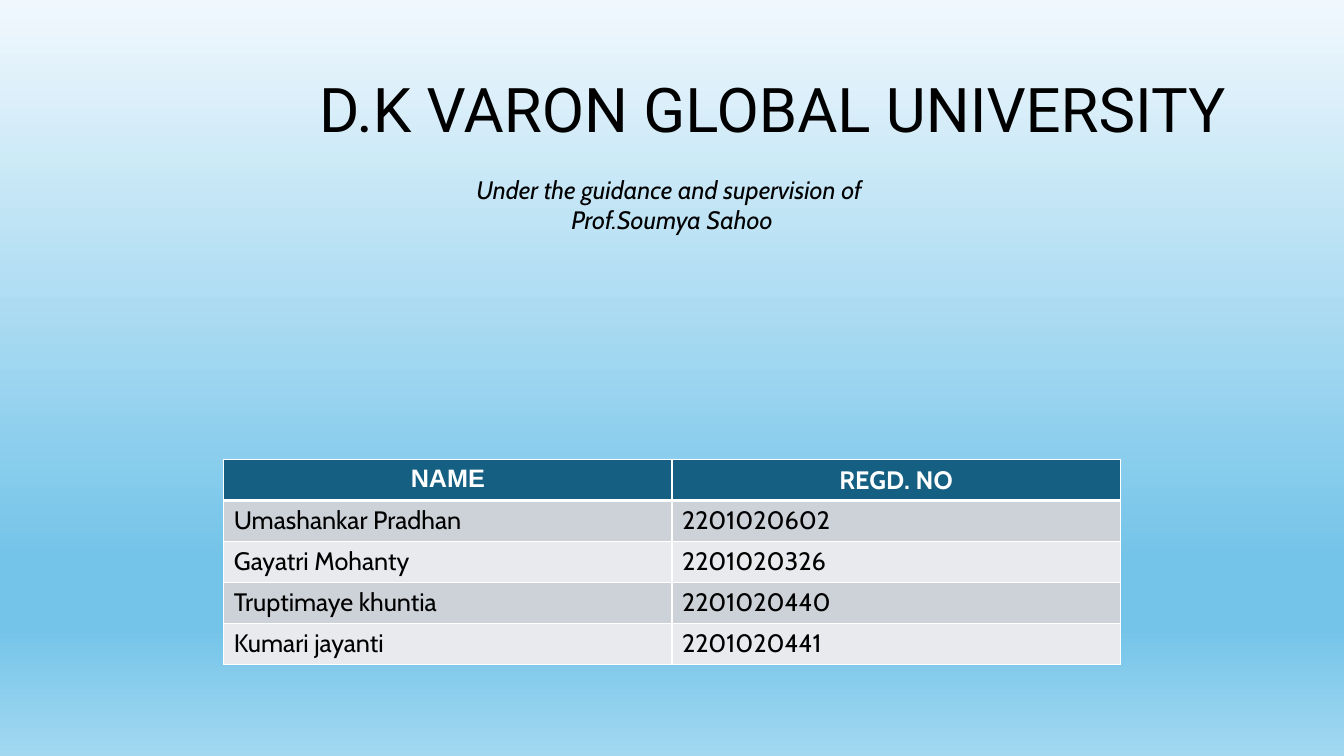
from lxml import etree
from pptx import Presentation
from pptx import util as u
from pptx.dml.color import RGBColor
from pptx.enum import text
from pptx.oxml import ns

COLORS = {
    "ink": "000000",
    "white": "FFFFFF",
    "header": "156082",
    "odd": "CCD2D8",
    "even": "E8EAED",
    "sky_pale": "F0F8FD",
    "sky_deep": "74C4E9",
    "sky_light": "A2D8F0",
}
SKY_STOPS = [(0, "sky_pale"), (74, "sky_deep"), (83, "sky_deep"), (100, "sky_light")]
STUDENTS = [
    ("Umashankar Pradhan", "2201020602"),
    ("Gayatri Mohanty", "2201020326"),
    ("Truptimaye khuntia", "2201020440"),
    ("Kumari jayanti", "2201020441"),
]


def write(para, words, font="Cabin", size=18, color="ink", bold=False, italic=False,
          align=text.PP_ALIGN.CENTER, spacing=None):
    """Write one formatted span into a paragraph."""
    para.alignment = align
    if spacing:
        para.line_spacing = spacing
    span = para.add_run()
    span.text = words
    span.font.name = font
    span.font.size = u.Pt(size)
    span.font.bold = bold
    span.font.italic = italic
    span.font.color.rgb = RGBColor.from_string(COLORS[color])


class CoverSlide:
    """Hold the colours and the current slide, and draw its elements."""

    def __init__(self, deck, colors):
        self.colors = colors
        self.page = deck.slides.add_slide(deck.slide_layouts[6])

    def background(self, stops):
        """Fill the page with a top-to-bottom gradient."""
        fill = self.page.background.fill
        fill.gradient()
        fill.gradient_angle = 270
        stop_list = next(self.page.element.iter(ns.qn("a:gsLst")))
        for stop in list(stop_list):
            stop_list.remove(stop)
        for percent, color in stops:
            stop = etree.SubElement(stop_list, ns.qn("a:gs"), pos=str(percent * 1000))
            etree.SubElement(stop, ns.qn("a:srgbClr"), val=self.colors[color])

    def textbox(self, left, top, width, height, lines, inset=0.1,
                anchor=text.MSO_ANCHOR.TOP, **style):
        """Add a text box with one paragraph per line."""
        box = self.page.shapes.add_textbox(
            u.Inches(left), u.Inches(top), u.Inches(width), u.Inches(height))
        frame = box.text_frame
        frame.word_wrap = True
        frame.margin_left = u.Inches(inset)
        frame.vertical_anchor = anchor
        for index, line in enumerate(lines):
            para = frame.add_paragraph() if index else frame.paragraphs[0]
            write(para, line, **style)

    def borders(self, cell, **widths):
        """Draw white borders of the given point widths around a cell."""
        properties = cell._tc.get_or_add_tcPr()
        for index, (side, width) in enumerate(widths.items()):
            line = etree.Element(ns.qn(f"a:ln{side}"), w=str(u.Pt(width)))
            solid = etree.SubElement(line, ns.qn("a:solidFill"))
            etree.SubElement(solid, ns.qn("a:srgbClr"), val=self.colors["white"])
            properties.insert(index, line)

    def cell(self, cell, words, fill, top=1, bottom=1, **style):
        """Fill, border and label one table cell."""
        cell.fill.solid()
        cell.fill.fore_color.rgb = RGBColor.from_string(self.colors[fill])
        self.borders(cell, L=1, R=1, T=top, B=bottom)
        write(cell.text_frame.paragraphs[0], words, **style)

    def table(self, left, top, width, height, headings, rows):
        """Add a table with a heading row and banded body rows."""
        table = self.page.shapes.add_table(
            len(rows) + 1, len(headings), u.Inches(left), u.Inches(top),
            u.Inches(width), u.Inches(height)).table
        for column, (words, font) in enumerate(headings):
            self.cell(table.cell(0, column), words, "header", bottom=3,
                      font=font, color="white", bold=True)
        for index, row in enumerate(rows, 1):
            for column, words in enumerate(row):
                self.cell(table.cell(index, column), words, "odd" if index % 2 else "even",
                          top=3 if index == 1 else 1, align=text.PP_ALIGN.LEFT)


def main():
    """Build the cover slide and save it."""
    deck = Presentation()
    deck.slide_width, deck.slide_height = u.Inches(13.33), u.Inches(7.5)
    cover = CoverSlide(deck, COLORS)
    cover.background(SKY_STOPS)
    cover.textbox(0, 0.39, 13.33, 1.45, ["D.K VARON GLOBAL UNIVERSITY"], inset=2.1,
                  anchor=text.MSO_ANCHOR.MIDDLE, font="Roboto", size=44, spacing=0.9)
    cover.textbox(0, 1.68, 13.33, 0.71,
                  ["Under the guidance and supervision of ", "Prof.Soumya Sahoo"], italic=True)
    cover.table(2.22, 4.56, 8.89, 2.03,
                [("NAME", "Arial"), ("REGD. NO", "Cabin")], STUDENTS)
    deck.save("out.pptx")


if __name__ == "__main__":
    main()
